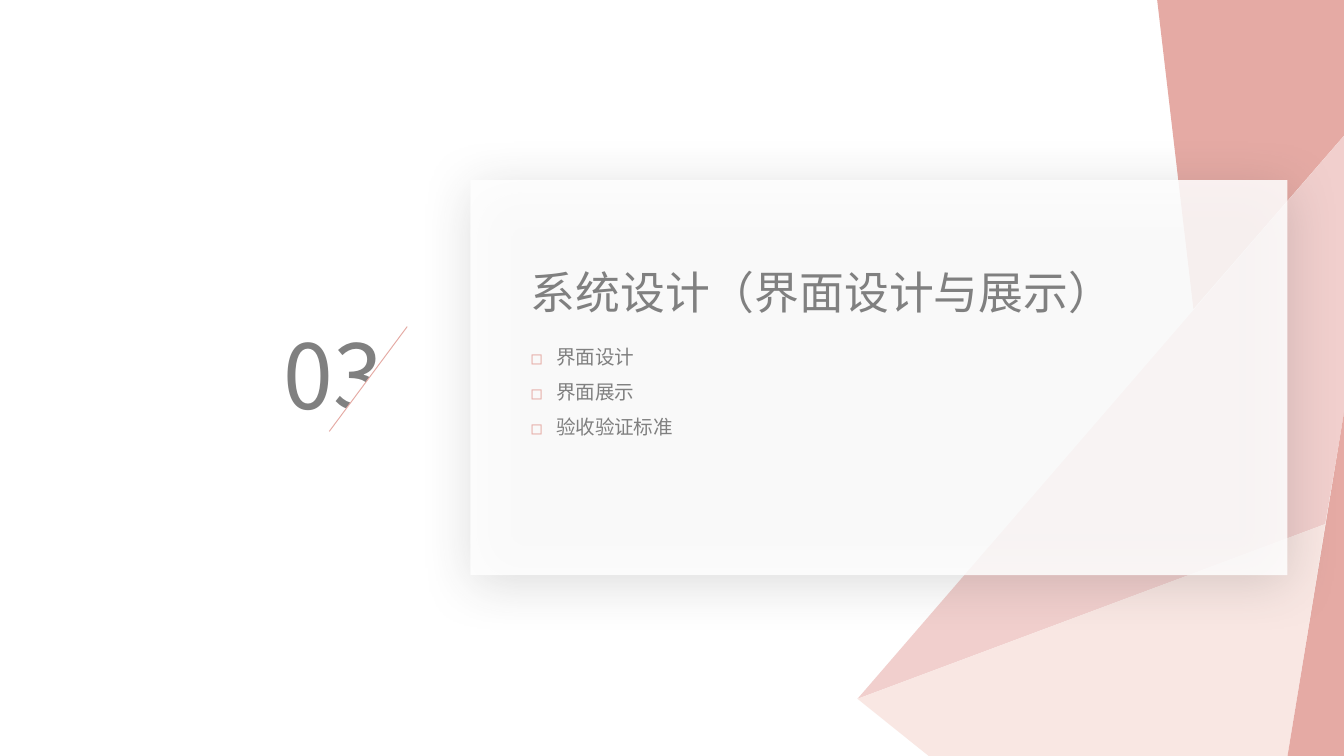
from dataclasses import dataclass

import pptx
import pptx.dml.color
import pptx.enum.shapes
import pptx.enum.text
import pptx.oxml
import pptx.oxml.ns
import pptx.util
from pptx.util import Inches

COLORS = {
    "rose": "E5AAA4",
    "pink": "F1CFCD",
    "blush": "F9E7E3",
    "white": "FFFFFF",
    "gray": "808080",
    "shadow": "333333",
}
FONT = "Noto Sans CJK SC"
WIDTH = 10
HEIGHT = WIDTH * 9 / 16
NS = pptx.oxml.ns.nsdecls("a")
RECT = pptx.enum.shapes.MSO_SHAPE.RECTANGLE
RIGHT_TRIANGLE = pptx.enum.shapes.MSO_SHAPE.RIGHT_TRIANGLE


@dataclass
class Facet:
    color: str
    points: list[tuple[float, float]]


@dataclass
class Label:
    box: tuple[float, float, float, float]
    size: float
    lines: list[str]
    wrap: bool = True
    bulleted: bool = False


# The facets share the corners named here
TIP, FOLD, EDGE = (6.38, 5.2), (9.86, 3.9), (WIDTH, 3.07)
SHOULDER, FOOT = (WIDTH, 1.01), (9.58, HEIGHT)
FACETS = [
    Facet("rose", [(8.88, 2.3), (8.61, 0), (WIDTH, 0), SHOULDER]),
    Facet("pink", [TIP, FOLD, EDGE, SHOULDER]),
    Facet("blush", [TIP, (6.91, HEIGHT), FOOT, FOLD]),
    Facet("rose", [FOOT, (WIDTH, HEIGHT), EDGE]),
]
NUMBER = Label((2.01, 2.33, 0.98, 0.91), 48, ["03"])
TITLE = Label((3.85, 1.92, 4.53, 0.5), 24, ["系统设计（界面设计与展示）"], wrap=False)
TOPICS = Label((3.85, 2.43, 2.5, 0.9), 10.5,
               ["界面设计", "界面展示", "验收验证标准"], bulleted=True)


def rgb(name: str) -> pptx.dml.color.RGBColor:
    return pptx.dml.color.RGBColor.from_string(COLORS[name])


def paint(shape, color: str) -> None:
    shape.shadow.inherit = False
    shape.fill.solid()
    shape.fill.fore_color.rgb = rgb(color)
    shape.line.fill.background()


def draw_facet(slide, facet: Facet) -> None:
    corners = [(Inches(x), Inches(y)) for x, y in facet.points]
    builder = slide.shapes.build_freeform(*corners[0])
    builder.add_line_segments(corners[1:], close=True)
    paint(builder.convert_to_shape(), facet.color)


def draw_card(slide) -> None:
    card = slide.shapes.add_shape(
        RECT, Inches(3.5), Inches(1.34), Inches(6.08), Inches(2.94))
    paint(card, "white")
    properties = card.element.spPr
    fill_color = properties.find(".//" + pptx.oxml.ns.qn("a:srgbClr"))
    fill_color.append(pptx.oxml.parse_xml(f'<a:alpha {NS} val="85000"/>'))
    effects = properties.find(pptx.oxml.ns.qn("a:effectLst"))
    effects.append(pptx.oxml.parse_xml(
        f'<a:outerShdw {NS} blurRad="{pptx.util.Pt(29)}" dist="{pptx.util.Pt(5)}"'
        f' dir="{77 * 60000}" algn="ctr" rotWithShape="0">'
        f'<a:srgbClr val="{COLORS["shadow"]}"><a:alpha val="20000"/></a:srgbClr>'
        '</a:outerShdw>'))


def draw_slash(slide) -> None:
    # White triangle cuts the number along the slash
    cut = slide.shapes.add_shape(
        RIGHT_TRIANGLE, Inches(2.35), Inches(2.53), Inches(0.78), Inches(0.58))
    cut.rotation = 270
    paint(cut, "white")
    slash = slide.shapes.add_connector(
        pptx.enum.shapes.MSO_CONNECTOR.STRAIGHT,
        Inches(3.03), Inches(2.43), Inches(2.45), Inches(3.21))
    slash.line.color.rgb = rgb("rose")
    slash.line.width = pptx.util.Pt(0.5)
    slash.element.spPr.append(pptx.oxml.parse_xml(f"<a:effectLst {NS}/>"))


def add_bullet(paragraph) -> None:
    paragraph.line_spacing = 1.5
    properties = paragraph._p.get_or_add_pPr()
    properties.set("marL", str(Inches(0.19)))
    properties.set("indent", str(Inches(-0.19)))
    for xml in (
        f'<a:buClr {NS}><a:srgbClr val="{COLORS["rose"]}"/></a:buClr>',
        f'<a:buFont {NS} typeface="{FONT}"/>',
        f'<a:buChar {NS} char="◻"/>',
    ):
        properties.append(pptx.oxml.parse_xml(xml))


def draw_label(slide, label: Label) -> None:
    frame = slide.shapes.add_textbox(*map(Inches, label.box)).text_frame
    frame.word_wrap = label.wrap
    frame.auto_size = pptx.enum.text.MSO_AUTO_SIZE.SHAPE_TO_FIT_TEXT
    for index, line in enumerate(label.lines):
        paragraph = frame.add_paragraph() if index else frame.paragraphs[0]
        if label.bulleted:
            add_bullet(paragraph)
        run = paragraph.add_run()
        run.text = line
        run.font.size = pptx.util.Pt(label.size)
        run.font.color.rgb = rgb("gray")
        run.font.name = FONT
        run.font._element.append(
            pptx.oxml.parse_xml(f'<a:ea {NS} typeface="{FONT}"/>'))


def main() -> None:
    deck = pptx.Presentation()
    deck.slide_width, deck.slide_height = Inches(WIDTH), Inches(HEIGHT)
    slide = deck.slides.add_slide(deck.slide_layouts[6])

    # Faceted background
    for facet in FACETS:
        draw_facet(slide, facet)

    # Translucent card, section number and contents
    draw_card(slide)
    draw_label(slide, NUMBER)
    draw_label(slide, TITLE)
    draw_slash(slide)
    draw_label(slide, TOPICS)
    deck.save("out.pptx")


if __name__ == "__main__":
    main()
